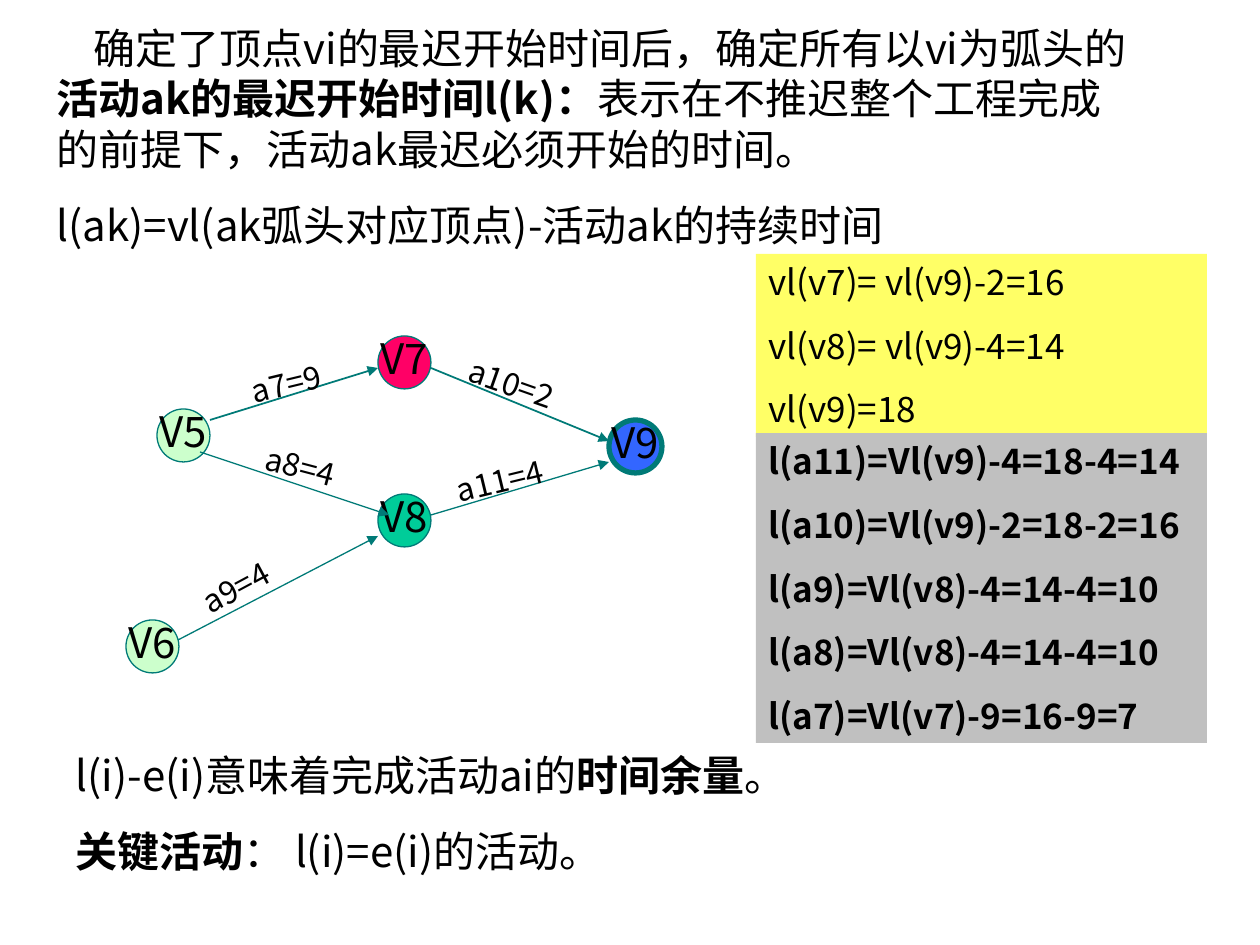
from dataclasses import dataclass
from typing import NamedTuple

from lxml import etree
from pptx import Presentation
from pptx import util as u
from pptx.dml.color import RGBColor
from pptx.enum import shapes, text
from pptx.oxml.ns import qn

EMU_PER_PX = 914400 / 126
NODE_SIZE = 53
LABEL_HEIGHT = 46
LABEL_WIDTH_PER_LETTER = 21


@dataclass(frozen=True)
class Theme:
    font: str = "Noto Sans CJK SC"
    ink: str = "000000"
    edge: str = "007A77"
    start: str = "CCFFCC"
    upper: str = "FF0066"
    lower: str = "00CC99"
    finish: str = "3366FF"
    vertex_times: str = "FFFF66"
    activity_times: str = "C0C0C0"
    body_pt: int = 24
    panel_pt: int = 20
    label_pt: int = 18


THEME = Theme()


class Box(NamedTuple):
    left: int
    top: int
    width: int
    height: int


class Run(NamedTuple):
    words: str
    bold: bool = False


class Node(NamedTuple):
    name: str
    left: int
    top: int
    fill: str
    line_pt: float = 0.75


class Activity(NamedTuple):
    label: str
    start: tuple[int, int]
    end: tuple[int, int]
    label_center: tuple[int, int]
    angle: float
    line_pt: float = 0.75


class Panel(NamedTuple):
    box: Box
    fill: str
    lines: list[str]
    bold: bool


DEFINITION = [
    [Run("确定了顶点vi的最迟开始时间后，确定所有以vi为弧头的"),
     Run("活动ak的最迟开始时间l(k)：", True),
     Run("表示在不推迟整个工程完成的前提下，活动ak最迟必须开始的时间。")],
    [Run("l(ak)=vl(ak弧头对应顶点)-活动ak的持续时间")],
]
CONCLUSION = [
    [Run("l(i)-e(i)意味着完成活动ai的"), Run("时间余量", True), Run("。")],
    [Run("关键活动", True), Run("： l(i)=e(i)的活动。")],
]
NODES = [
    Node("V6", 126, 620, THEME.start),
    Node("V5", 157, 409, THEME.start),
    Node("V7", 378, 336, THEME.upper),
    Node("V8", 378, 494, THEME.lower),
    Node("V9", 609, 420, THEME.finish, 3),
]
ACTIVITIES = [
    Activity("a7=9", (210, 420), (378, 368), (286, 383), -13.6, 1),
    Activity("a8=4", (200, 452), (389, 515), (301, 466), 14.7),
    Activity("a11=4", (431, 515), (609, 462), (499, 480), -13.6),
    Activity("a10=2", (431, 368), (609, 441), (511, 383), 19.4, 1),
    Activity("a9=4", (178, 640), (378, 536), (236, 587), -28.2),
]
PANELS = [
    Panel(Box(756, 254, 451, 183), THEME.vertex_times,
          ["vl(v7)= vl(v9)-2=16", "vl(v8)= vl(v9)-4=14", "vl(v9)=18"], False),
    Panel(Box(756, 433, 451, 310), THEME.activity_times,
          ["l(a11)=Vl(v9)-4=18-4=14", "l(a10)=Vl(v9)-2=18-2=16",
           "l(a9)=Vl(v8)-4=14-4=10", "l(a8)=Vl(v8)-4=14-4=10",
           "l(a7)=Vl(v7)-9=16-9=7"], True),
]


def px(length: int) -> u.Emu:
    return u.Emu(round(length * EMU_PER_PX))


def color(code: str) -> RGBColor:
    return RGBColor.from_string(code)


def write(frame, paragraphs: list[list[Run]], size: int, before: float = 0,
          align=text.PP_ALIGN.LEFT, line_spacing: float = 1.0) -> None:
    for index, runs in enumerate(paragraphs):
        paragraph = frame.paragraphs[0] if index == 0 else frame.add_paragraph()
        paragraph.alignment = align
        paragraph.space_before = u.Pt(before)
        paragraph.line_spacing = line_spacing
        for part in runs:
            run = paragraph.add_run()
            run.text = part.words
            run.font.name = THEME.font
            run.font.size = u.Pt(size)
            run.font.bold = part.bold
            run.font.color.rgb = color(THEME.ink)
            east_asian = etree.SubElement(run.font._element, qn("a:ea"))
            east_asian.set("typeface", THEME.font)


def fill_body(body, box: Box, paragraphs: list[list[Run]], first_indent: int = 0) -> None:
    """Place a body placeholder and write unbulleted paragraphs in it."""
    body.left, body.top, body.width, body.height = map(px, box)
    frame = body.text_frame
    frame.auto_size = text.MSO_AUTO_SIZE.NONE
    frame.vertical_anchor = text.MSO_ANCHOR.TOP
    write(frame, paragraphs, THEME.body_pt, before=15)
    for index, paragraph in enumerate(frame.paragraphs):
        properties = paragraph._p.get_or_add_pPr()
        properties.set("marL", "0")
        properties.set("indent", str(px(first_indent if index == 0 else 0)))
        etree.SubElement(properties, qn("a:buNone"))


def draw_node(slide, node: Node) -> None:
    circle = slide.shapes.add_shape(
        shapes.MSO_SHAPE.OVAL, px(node.left), px(node.top), px(NODE_SIZE), px(NODE_SIZE))
    circle.shadow.inherit = False
    circle.fill.solid()
    circle.fill.fore_color.rgb = color(node.fill)
    circle.line.color.rgb = color(THEME.edge)
    circle.line.width = u.Pt(node.line_pt)
    circle.text_frame.word_wrap = False
    circle.text_frame.vertical_anchor = text.MSO_ANCHOR.MIDDLE
    write(circle.text_frame, [[Run(node.name)]], THEME.body_pt,
          align=text.PP_ALIGN.CENTER, line_spacing=0.8)


def draw_arrow(slide, activity: Activity) -> None:
    arrow = slide.shapes.add_connector(
        shapes.MSO_CONNECTOR.STRAIGHT, *map(px, activity.start + activity.end))
    arrow.line.color.rgb = color(THEME.edge)
    arrow.line.width = u.Pt(activity.line_pt)
    etree.SubElement(arrow.line._get_or_add_ln(), qn("a:tailEnd")).set("type", "triangle")
    etree.SubElement(arrow._element.spPr, qn("a:effectLst"))


def draw_label(slide, activity: Activity) -> None:
    width = LABEL_WIDTH_PER_LETTER * len(activity.label)
    x, y = activity.label_center
    label = slide.shapes.add_textbox(
        px(x - width // 2), px(y - LABEL_HEIGHT // 2), px(width), px(LABEL_HEIGHT))
    label.rotation = activity.angle
    frame = label.text_frame
    frame.word_wrap = True
    frame.vertical_anchor = text.MSO_ANCHOR.MIDDLE
    frame.margin_left = frame.margin_right = frame.margin_top = frame.margin_bottom = 0
    write(frame, [[Run(activity.label)]], THEME.label_pt, align=text.PP_ALIGN.CENTER)


def draw_panel(slide, panel: Panel) -> None:
    rectangle = slide.shapes.add_shape(shapes.MSO_SHAPE.RECTANGLE, *map(px, panel.box))
    rectangle.shadow.inherit = False
    rectangle.fill.solid()
    rectangle.fill.fore_color.rgb = color(panel.fill)
    rectangle.line.fill.background()
    rectangle.text_frame.word_wrap = True
    rectangle.text_frame.vertical_anchor = text.MSO_ANCHOR.TOP
    write(rectangle.text_frame, [[Run(line, panel.bold)] for line in panel.lines],
          THEME.panel_pt, before=12.5)


def main() -> None:
    deck = Presentation()
    deck.slide_width, deck.slide_height = px(1260), px(945)
    slide = deck.slides.add_slide(deck.slide_layouts.get_by_name("Two Content"))
    title, definition, conclusion = slide.placeholders
    title._element.getparent().remove(title._element)
    fill_body(conclusion, Box(63, 743, 1176, 140), CONCLUSION)
    fill_body(definition, Box(44, 16, 1103, 241), DEFINITION, first_indent=37)
    for node in NODES:
        draw_node(slide, node)
    for draw in (draw_arrow, draw_label):
        for activity in ACTIVITIES:
            draw(slide, activity)
    for panel in PANELS:
        draw_panel(slide, panel)
    deck.save("out.pptx")


if __name__ == "__main__":
    main()
